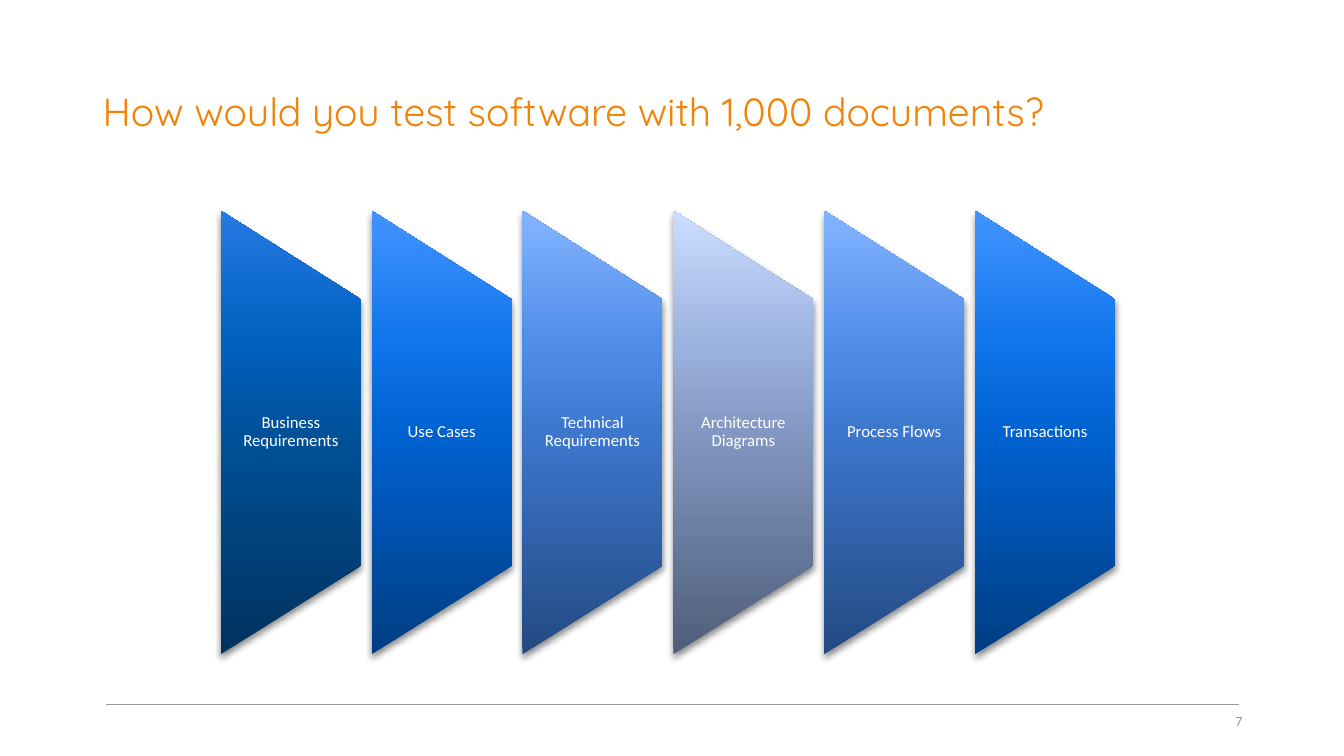
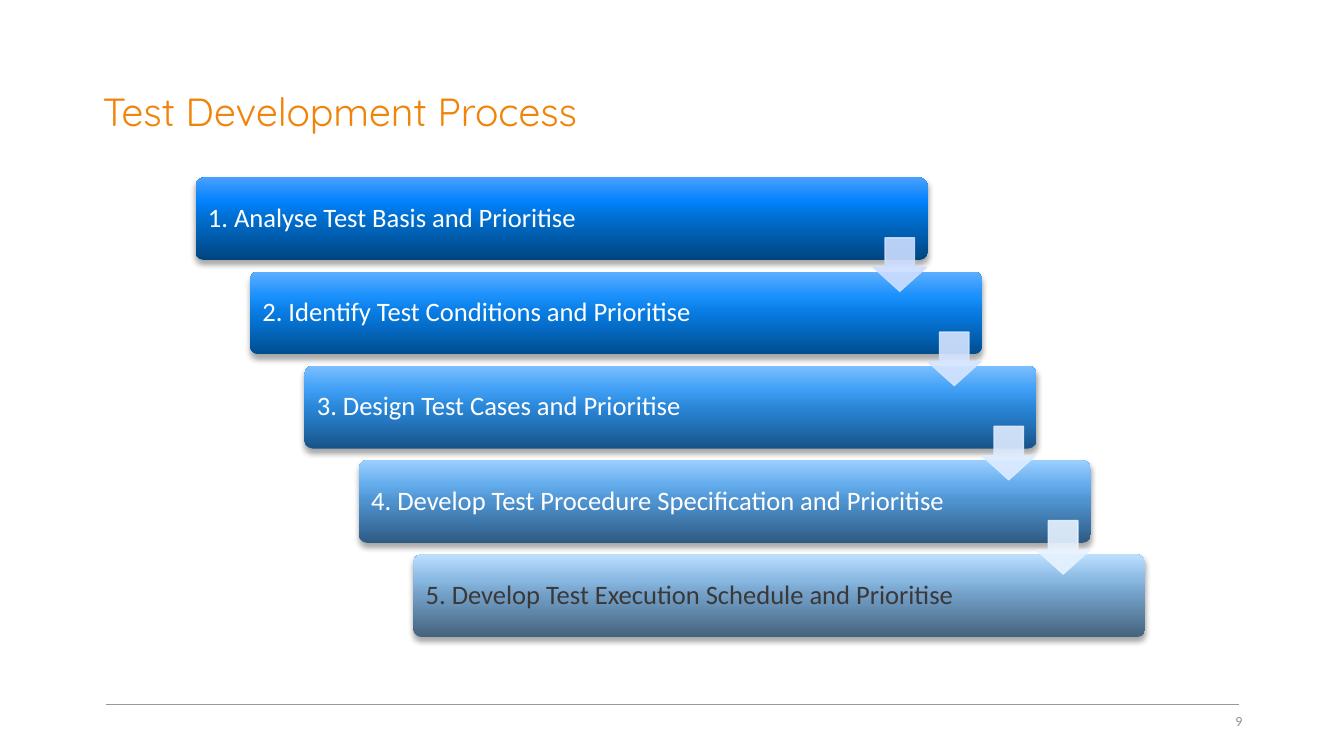
from dataclasses import dataclass

from lxml import etree
from pptx import Presentation
from pptx.dml.color import RGBColor
from pptx.enum.shapes import MSO_CONNECTOR, MSO_SHAPE
from pptx.enum.text import MSO_ANCHOR, PP_ALIGN
from pptx.oxml.ns import qn
from pptx.util import Inches, Pt

STRAIGHT = MSO_CONNECTOR.STRAIGHT
TRAPEZOID = MSO_SHAPE.FLOWCHART_MANUAL_OPERATION
ROUNDED = MSO_SHAPE.ROUNDED_RECTANGLE
DOWN_ARROW = MSO_SHAPE.DOWN_ARROW
MIDDLE = MSO_ANCHOR.MIDDLE
LEFT, CENTER, RIGHT = PP_ALIGN.LEFT, PP_ALIGN.CENTER, PP_ALIGN.RIGHT

ORANGE = RGBColor(0xF1, 0x83, 0x09)
RULE_GRAY = RGBColor(0x9B, 0x97, 0x97)
NUMBER_GRAY = RGBColor(0x92, 0x91, 0x91)
WHITE = RGBColor(0xFF, 0xFF, 0xFF)
CHARCOAL = RGBColor(0x3B, 0x38, 0x38)
BLACK = RGBColor(0, 0, 0)


def palette(*codes: str) -> tuple[RGBColor, ...]:
    return tuple(RGBColor.from_string(code) for code in codes)


STOPS = (0, 50, 70, 100)
NAVY = palette("00325E", "005198", "0160BF", "2479E2")
ROYAL = palette("003D82", "0062D1", "1075EB", "4294FF")
SKY = palette("234A82", "3C77CD", "518EE9", "83B4FF")
MIST = palette("4F5E79", "8297C1", "9CB3DF", "CCDDFF")
STEP_1 = palette("004480", "006ECE", "0081FB", "49A0FF")
STEP_2 = palette("004D90", "077BE1", "1990FC", "5DAFFF")
STEP_3 = palette("175489", "2A87D8", "3E9EF4", "7ABFFF")
STEP_4 = palette("2E5B83", "4E92CF", "64ACEC", "9BCFFF")
STEP_5 = palette("45627C", "719EC6", "8AB9E3", "BDE0FF")
ARROW_COLORS = palette("CDDEFF", "D5E5FF", "DEECFF", "E7F3FF")


@dataclass(frozen=True)
class TextStyle:
    size: float
    color: RGBColor
    font: str = "Calibri"
    align: PP_ALIGN = LEFT
    spacing: float = 0.9


@dataclass(frozen=True)
class Panel:
    label: str
    shades: tuple[RGBColor, ...]
    text_color: RGBColor = WHITE


TITLE = TextStyle(28, ORANGE, "Quicksand")
PAGE_NUMBER = TextStyle(10, NUMBER_GRAY, align=RIGHT, spacing=1.0)
BLADE_LABEL = TextStyle(12, WHITE, align=CENTER)

DOCUMENTS = (
    Panel("Business Requirements", NAVY),
    Panel("Use Cases", ROYAL),
    Panel("Technical Requirements", SKY),
    Panel("Architecture Diagrams", MIST),
    Panel("Process Flows", SKY),
    Panel("Transactions", ROYAL),
)
STEPS = (
    Panel("1. Analyse Test Basis and Prioritise", STEP_1),
    Panel("2. Identify Test Conditions and Prioritise", STEP_2),
    Panel("3. Design Test Cases and Prioritise", STEP_3),
    Panel("4. Develop Test Procedure Specification and Prioritise", STEP_4),
    Panel("5. Develop Test Execution Schedule and Prioritise", STEP_5, CHARCOAL),
)


def write(shape, text: str, style: TextStyle, inset_x: float = 0.1, inset_y: float = 0.05) -> None:
    frame = shape.text_frame
    frame.word_wrap = True
    frame.vertical_anchor = MIDDLE
    frame.margin_left = frame.margin_right = Inches(inset_x)
    frame.margin_top = frame.margin_bottom = Inches(inset_y)
    paragraph = frame.paragraphs[0]
    paragraph.alignment = style.align
    paragraph.line_spacing = style.spacing
    run = paragraph.add_run()
    run.text = text
    run.font.size = Pt(style.size)
    run.font.name = style.font
    run.font.color.rgb = style.color


def add_label(slide, left: float, top: float, width: float, height: float,
              text: str, style: TextStyle, inset_x: float = 0.1) -> None:
    box = slide.shapes.add_textbox(Inches(left), Inches(top), Inches(width), Inches(height))
    write(box, text, style, inset_x)


def add_color(parent, color: RGBColor, alpha: int = 100) -> None:
    node = etree.SubElement(parent, qn("a:srgbClr"), val=str(color))
    if alpha < 100:
        etree.SubElement(node, qn("a:alpha"), val=str(alpha * 1000))


def shade(shape, shades: tuple[RGBColor, ...]) -> None:
    shape.fill.gradient()
    shape.fill.gradient_angle = 90
    gradient = shape.element.spPr.find(qn("a:gradFill"))
    gradient.set("rotWithShape", "0")
    stops = gradient.find(qn("a:gsLst"))
    for stop in list(stops):
        stops.remove(stop)
    for position, color in zip(STOPS, shades):
        add_color(etree.SubElement(stops, qn("a:gs"), pos=str(position * 1000)), color)


def cast_shadow(shape, alpha: int, blur: float) -> None:
    shape.shadow.inherit = False
    effects = shape.element.spPr.find(qn("a:effectLst"))
    shadow = etree.SubElement(effects, qn("a:outerShdw"), blurRad=str(Pt(blur)),
                              dist=str(Pt(3)), dir="5400000", rotWithShape="0")
    add_color(shadow, BLACK, alpha)


def add_panel(slide, kind, left: float, top: float, width: float, height: float,
              shades: tuple[RGBColor, ...], shadow_alpha: int, shadow_blur: float):
    panel = slide.shapes.add_shape(kind, Inches(left), Inches(top), Inches(width), Inches(height))
    shade(panel, shades)
    panel.line.fill.background()
    cast_shadow(panel, shadow_alpha, shadow_blur)
    return panel


def add_arrow(slide, left: float, top: float, color: RGBColor) -> None:
    size = Inches(0.53)
    arrow = slide.shapes.add_shape(DOWN_ARROW, Inches(left), Inches(top), size, size)
    arrow.adjustments[0] = 0.55
    arrow.adjustments[1] = 0.45
    arrow.shadow.inherit = False
    arrow.fill.solid()
    arrow.fill.fore_color.rgb = color
    arrow.line.color.rgb = color
    arrow.line.width = Pt(1)
    for node in arrow.element.spPr.iter(qn("a:srgbClr")):
        etree.SubElement(node, qn("a:alpha"), val="90000")


def start_slide(deck, title: str, number: int):
    slide = deck.slides.add_slide(deck.slide_layouts[6])
    rule = slide.shapes.add_connector(STRAIGHT, Inches(1.05), Inches(6.99), Inches(12.29), Inches(6.99))
    rule.line.color.rgb = RULE_GRAY
    rule.line.width = Pt(1)
    etree.SubElement(rule.element.spPr, qn("a:effectLst"))
    add_label(slide, 0.92, 0.4, 11.5, 1.45, title, TITLE)
    add_label(slide, 9.42, 6.95, 3, 0.4, str(number), PAGE_NUMBER)
    return slide


def draw_documents(slide) -> None:
    first_left, last_left = 2.19, 9.67
    width, height, center_y = 1.39, 4.4, 4.29
    label_height = 2.64
    pitch = (last_left - first_left) / (len(DOCUMENTS) - 1)
    for index, document in enumerate(DOCUMENTS):
        left = first_left + index * pitch
        blade = add_panel(slide, TRAPEZOID, left + (width - height) / 2, center_y - width / 2,
                          height, width, document.shades, 45, 5)
        blade.rotation = 270
        add_label(slide, left, center_y - label_height / 2, width, label_height,
                  document.label, BLADE_LABEL, 0.08)


def draw_steps(slide) -> None:
    left, top, shift_x, shift_y = 1.94, 1.76, 0.54, 0.935
    for index, step in enumerate(STEPS):
        bar = add_panel(slide, ROUNDED, left + index * shift_x, top + index * shift_y,
                        7.26, 0.82, step.shades, 35, 4)
        bar.adjustments[0] = 0.1
        write(bar, step.label, TextStyle(19, step.text_color))
    for index, color in enumerate(ARROW_COLORS):
        add_arrow(slide, left + 6.72 + index * shift_x, top + 0.6 + index * shift_y, color)


def main() -> None:
    deck = Presentation()
    deck.slide_width = Inches(13.33)
    deck.slide_height = Inches(7.5)
    draw_documents(start_slide(deck, "How would you test software with 1,000 documents?", 7))
    draw_steps(start_slide(deck, "Test Development Process", 9))
    deck.save("out.pptx")


if __name__ == "__main__":
    main()
